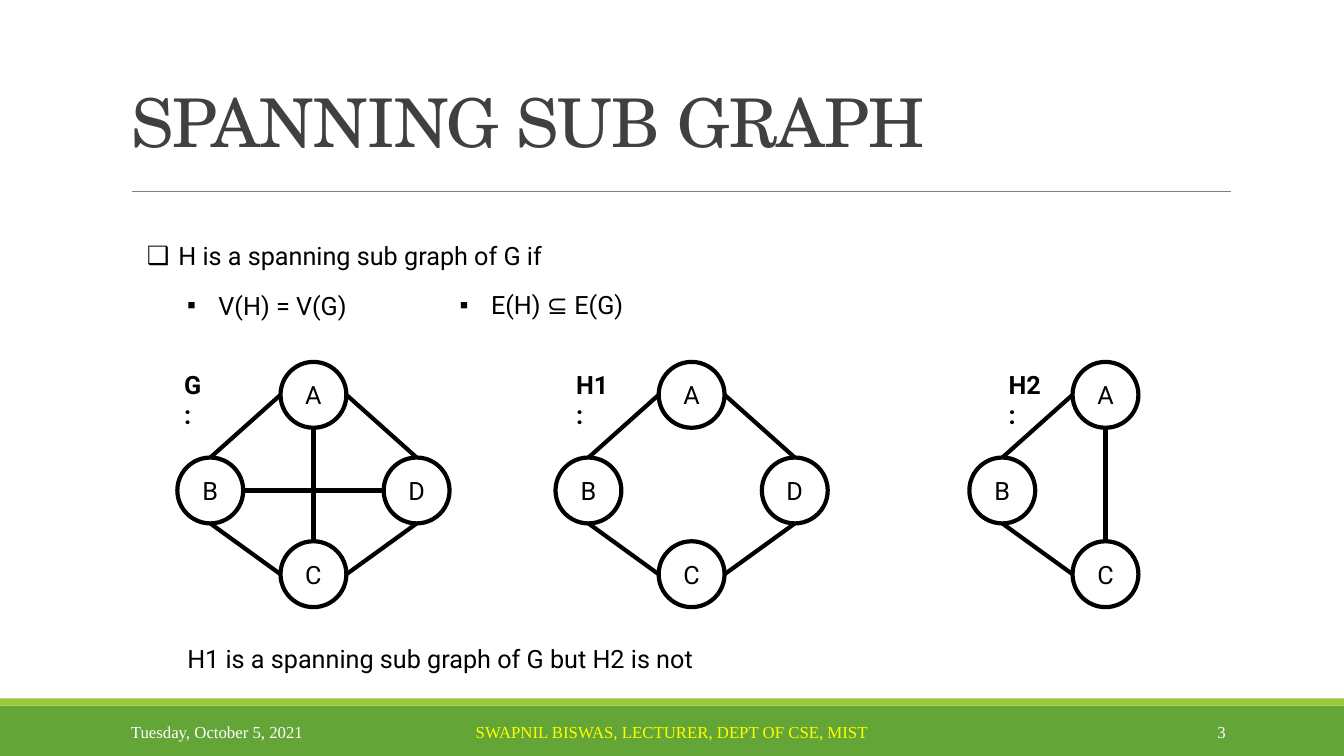
from dataclasses import dataclass

from lxml.etree import SubElement
from pptx import Presentation
from pptx.dml.color import RGBColor
from pptx.enum.shapes import MSO_CONNECTOR, MSO_SHAPE
from pptx.enum.text import MSO_ANCHOR, MSO_AUTO_SIZE, PP_ALIGN
from pptx.oxml.ns import qn
from pptx.util import Cm, Pt


@dataclass(frozen=True)
class Theme:
    ink: RGBColor = RGBColor(0, 0, 0)
    paper: RGBColor = RGBColor(255, 255, 255)
    heading: RGBColor = RGBColor(0x40, 0x40, 0x40)
    rule: RGBColor = RGBColor(0x80, 0x80, 0x80)
    band: RGBColor = RGBColor(0x63, 0xA5, 0x37)
    stripe: RGBColor = RGBColor(0x99, 0xCB, 0x38)
    author: RGBColor = RGBColor(255, 255, 0)
    title_font: str = "TeX Gyre Schola"
    body_font: str = "Roboto"
    symbol_font: str = "Calibri"
    footer_font: str = "Times New Roman"
    title_size: Pt = Pt(48)
    body_size: Pt = Pt(18)
    footer_size: Pt = Pt(12)
    edge_width: Pt = Pt(3)
    rule_width: Pt = Pt(0.5)


T = Theme()
BODY = {"name": T.body_font, "size": T.body_size, "bold": False}
LABEL = BODY | {"bold": True}
TITLE = {"name": T.title_font, "size": T.title_size}
FOOTER = {"name": T.footer_font, "size": T.footer_size}

DIAMETER = 1.66
NODES = {"A": (2.6, 9.12), "B": (0, 11.53), "C": (2.6, 13.64), "D": (5.2, 11.53)}
SIDES = {"top": (0.5, 0), "left": (0, 0.5), "bottom": (0.5, 1), "right": (1, 0.5)}
EDGE_SIDES = {
    "AB": ("left", "top"),
    "BC": ("bottom", "left"),
    "CD": ("right", "bottom"),
    "DA": ("top", "right"),
    "BD": ("right", "left"),
    "AC": ("bottom", "top"),
}
GRAPHS = [
    ("G:", 4.47, "ABCD", ["AB", "BC", "CD", "DA", "BD", "AC"], (4.39, 1.09)),
    ("H1:", 14, "ABCD", ["AB", "BC", "CD", "DA"], (14.27, 1.45)),
    ("H2:", 24.43, "ABC", ["AB", "BC", "AC"], (25.17, 1.45)),
]


def apply(obj, values):
    for name, value in values.items():
        setattr(obj, name, value)


def place(sp, left, top, width, height):
    apply(sp, {"left": Cm(left), "top": Cm(top), "width": Cm(width), "height": Cm(height)})


def add_run(p, text, font, color=T.ink):
    r = p.add_run()
    r.text = text
    apply(r.font, font)
    r.font.color.rgb = color
    return r


def add_title(s, text):
    sp = s.shapes.title
    place(sp, 3.05, 0.15, 27.94, 4.04)
    tf = sp.text_frame
    apply(tf, {"vertical_anchor": MSO_ANCHOR.BOTTOM, "auto_size": MSO_AUTO_SIZE.NONE})
    p = tf.paragraphs[0]
    apply(p, {"alignment": PP_ALIGN.LEFT, "line_spacing": 0.85})
    r = add_run(p, text, TITLE, T.heading)
    r.font._element.set("spc", "-50")


def add_list(sp, box, items):
    place(sp, *box)
    tf = sp.text_frame
    apply(tf, {"vertical_anchor": MSO_ANCHOR.TOP, "auto_size": MSO_AUTO_SIZE.NONE})
    for i, (bullet, margin, runs) in enumerate(items):
        p = tf.add_paragraph() if i else tf.paragraphs[0]
        apply(p, {"space_before": Pt(13.5 if i else 0), "line_spacing": 1.0})
        pPr = p._p.get_or_add_pPr()
        pPr.set("marL", str(Cm(margin)))
        pPr.set("indent", str(-Cm(0.79)))
        SubElement(pPr, qn("a:buChar")).set("char", bullet)
        for text, font in runs:
            add_run(p, text, font)


def add_text(s, box, text, font, color=T.ink, align=PP_ALIGN.LEFT, anchor=MSO_ANCHOR.TOP):
    tf = s.shapes.add_textbox(*map(Cm, box)).text_frame
    apply(tf, {"word_wrap": True, "vertical_anchor": anchor})
    p = tf.paragraphs[0]
    p.alignment = align
    add_run(p, text, font, color)


def add_band(s, top, height, color):
    sp = s.shapes.add_shape(MSO_SHAPE.RECTANGLE, 0, Cm(top), Cm(33.87), Cm(height))
    sp.shadow.inherit = False
    sp.fill.solid()
    sp.fill.fore_color.rgb = color
    sp.line.fill.background()


def add_line(s, start, end, color, width):
    cx = s.shapes.add_connector(MSO_CONNECTOR.STRAIGHT, *map(Cm, (*start, *end)))
    cx.line.color.rgb = color
    cx.line.width = width
    SubElement(cx._element.spPr, qn("a:effectLst"))


def add_node(s, name, left):
    x, y = NODES[name]
    sp = s.shapes.add_shape(MSO_SHAPE.OVAL, *map(Cm, (left + x, y, DIAMETER, DIAMETER)))
    sp.shadow.inherit = False
    sp.fill.solid()
    sp.fill.fore_color.rgb = T.paper
    sp.line.color.rgb = T.ink
    sp.line.width = T.edge_width
    tf = sp.text_frame
    apply(tf, dict.fromkeys(["margin_left", "margin_top", "margin_right", "margin_bottom"], 0))
    apply(tf, {"word_wrap": False, "vertical_anchor": MSO_ANCHOR.MIDDLE})
    p = tf.paragraphs[0]
    p.alignment = PP_ALIGN.CENTER
    add_run(p, name, BODY)


def side_point(name, side, left):
    x, y = NODES[name]
    dx, dy = SIDES[side]
    return left + x + dx * DIAMETER, y + dy * DIAMETER


def add_graph(s, label, left, nodes, edges, label_span):
    for name in nodes:
        add_node(s, name, left)
    for edge in edges:
        start, end = (side_point(n, side, left) for n, side in zip(edge, EDGE_SIDES[edge]))
        add_line(s, start, end, T.ink, T.edge_width)
    label_left, label_width = label_span
    add_text(s, (label_left, 9.17, label_width, 1.03), label, LABEL)


def add_footer(s):
    add_band(s, 17.78, 1.27, T.band)
    add_band(s, 17.6, 0.18, T.stripe)
    for left, width, text, color, align in [
        (3.05, 6.86, "Tuesday, October 5, 2021", T.paper, PP_ALIGN.LEFT),
        (10.24, 13.39, "SWAPNIL BISWAS, LECTURER, DEPT OF CSE, MIST", T.author, PP_ALIGN.CENTER),
        (27.51, 3.63, "3", T.paper, PP_ALIGN.RIGHT),
    ]:
        add_text(s, (left, 17.93, width, 1.02), text, FOOTER, color, align, MSO_ANCHOR.MIDDLE)


def main():
    prs = Presentation()
    apply(prs, {"slide_width": Cm(33.87), "slide_height": Cm(19.05)})
    s = prs.slides.add_slide(prs.slide_layouts[3])
    add_footer(s)
    add_line(s, (3.33, 4.83), (31.01, 4.83), T.rule, T.rule_width)
    add_title(s, "SPANNING SUB GRAPH")
    add_list(s.placeholders[1], (3.45, 5.94, 10.54, 2.25), [
        ("❑", 0.79, [("H is a spanning sub graph of G if", BODY)]),
        ("▪", 1.8, [("V(H) = V(G)", BODY)]),
    ])
    symbol = BODY | {"name": T.symbol_font}
    add_list(s.placeholders[2], (11.33, 7.16, 5, 1.03), [
        ("▪", 0.79, [("E(H) ", BODY), ("⊆", symbol), (" E(G)", BODY)]),
    ])
    for graph in GRAPHS:
        add_graph(s, *graph)
    add_text(s, (4.47, 16.08, 14, 1.03), "H1 is a spanning sub graph of G but H2 is not", BODY)
    prs.save("out.pptx")


if __name__ == "__main__":
    main()
